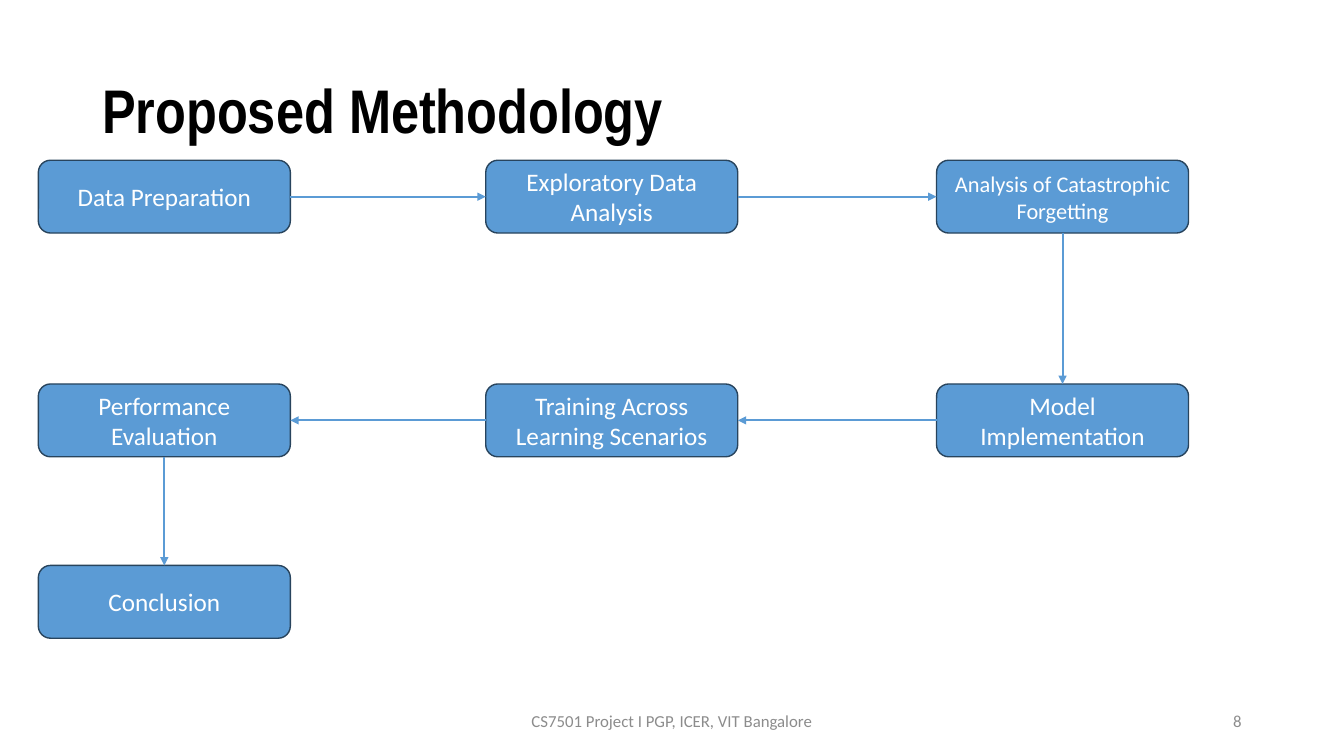
from itertools import pairwise

from lxml.etree import SubElement
from pptx import Presentation
from pptx.dml.color import RGBColor
from pptx.enum.shapes import MSO_CONNECTOR, MSO_SHAPE
from pptx.enum.text import MSO_ANCHOR, PP_ALIGN
from pptx.oxml.ns import qn
from pptx.util import Pt

BLUE = "5B9BD5"
NAVY = "28445D"
GREY = "8C8C8C"
TOP, LEFT, BOTTOM, RIGHT = range(4)


def color(value):
    return RGBColor.from_string(value)


def write(shape, text, size, ink, align, font="Calibri"):
    """Fill a shape with one wrapped, vertically centred paragraph."""
    frame = shape.text_frame
    frame.word_wrap = True
    frame.vertical_anchor = MSO_ANCHOR.MIDDLE
    para = frame.paragraphs[0]
    para.text = text
    para.alignment = align
    para.font.name = font
    para.font.size = Pt(size)
    para.font.color.rgb = color(ink)
    return para


deck = Presentation()
deck.slide_width = Pt(960)
deck.slide_height = Pt(540)
page = deck.slides.add_slide(deck.slide_layouts[6])

# Title
title = page.shapes.add_textbox(Pt(66), Pt(28.8), Pt(828), Pt(104.4))
para = write(title, "Proposed Methodology", 44, "000000", PP_ALIGN.LEFT, "Arial Narrow")
para.font.bold = True
para.line_spacing = 0.9

# Footer and slide number
footers = [
    (318, 324, "CS7501 Project I PGP, ICER, VIT Bangalore", PP_ALIGN.CENTER),
    (678, 216, "8", PP_ALIGN.RIGHT),
]
for left, width, text, align in footers:
    box = page.shapes.add_textbox(Pt(left), Pt(500.5), Pt(width), Pt(28.8))
    write(box, text, 12, GREY, align)

# Steps in flow order: column, row, text, text size
column_lefts = [27.4, 347, 669]
row_tops = [114.5, 274.3, 403.9]
steps = [
    (0, 0, "Data Preparation", 18),
    (1, 0, "Exploratory Data Analysis", 18),
    (2, 0, "Analysis of Catastrophic Forgetting", 16),
    (2, 1, "Model Implementation", 18),
    (1, 1, "Training Across Learning Scenarios", 18),
    (0, 1, "Performance Evaluation", 18),
    (0, 2, "Conclusion", 18),
]
boxes = []
for column, row, text, size in steps:
    box = page.shapes.add_shape(
        MSO_SHAPE.ROUNDED_RECTANGLE,
        Pt(column_lefts[column]), Pt(row_tops[row]), Pt(180), Pt(52),
    )
    box.shadow.inherit = False
    box.fill.solid()
    box.fill.fore_color.rgb = color(BLUE)
    box.line.color.rgb = color(NAVY)
    box.line.width = Pt(1)
    write(box, text, size, "FFFFFF", PP_ALIGN.CENTER)
    boxes.append(box)

# Arrows between consecutive steps
for start, end in pairwise(boxes):
    if start.left == end.left:
        start_side, end_side = BOTTOM, TOP
    elif start.left < end.left:
        start_side, end_side = RIGHT, LEFT
    else:
        start_side, end_side = LEFT, RIGHT
    arrow = page.shapes.add_connector(MSO_CONNECTOR.STRAIGHT, 0, 0, 0, 0)
    arrow.begin_connect(start, start_side)
    arrow.end_connect(end, end_side)
    arrow.line.color.rgb = color(BLUE)
    arrow.line.width = Pt(1.5)
    properties = arrow.element.spPr
    SubElement(properties.find(qn("a:ln")), qn("a:tailEnd"), type="triangle")
    SubElement(properties, qn("a:effectLst"))

deck.save("out.pptx")
